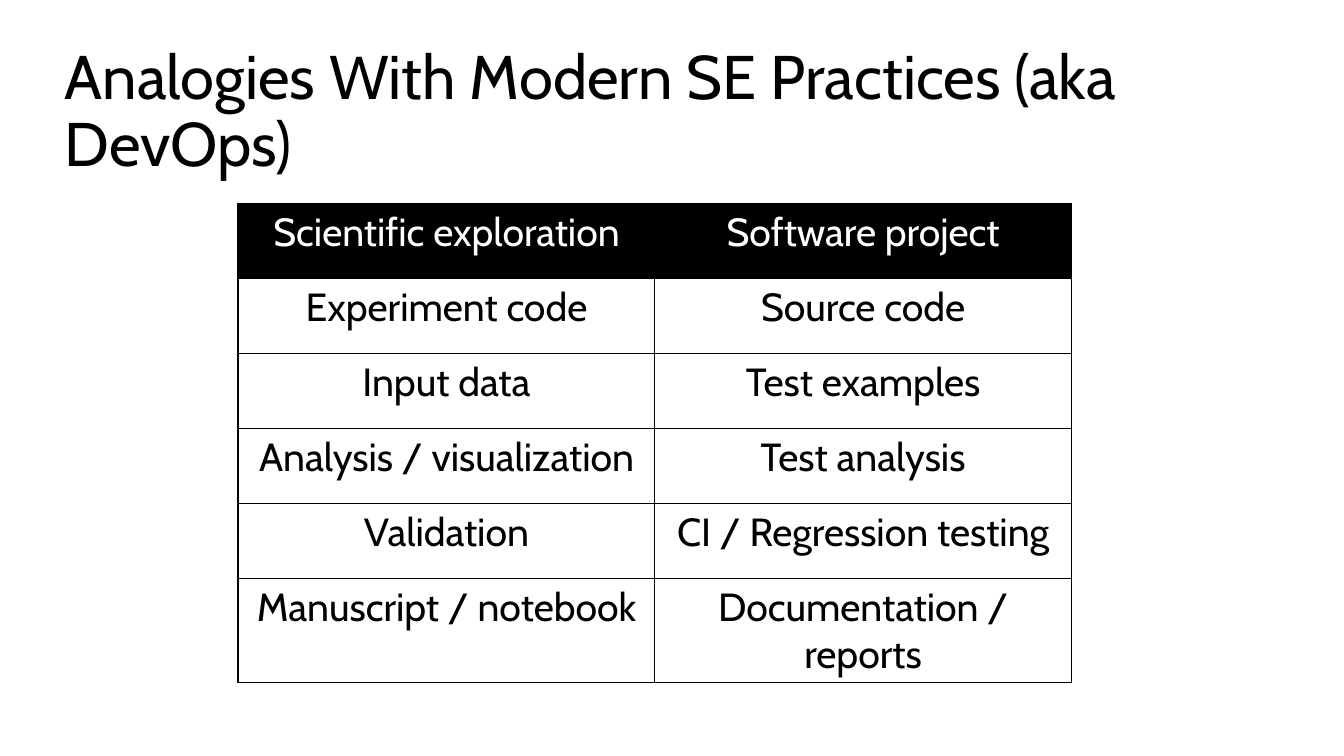
"""Build the slide comparing scientific exploration with a software project."""
from dataclasses import dataclass

from lxml import etree
from pptx import Presentation
from pptx import util as u
from pptx.dml.color import RGBColor
from pptx.enum import text
from pptx.oxml import ns


@dataclass(frozen=True)
class Theme:
    """Colours, font and type sizes."""
    ink: str = "000000"
    paper: str = "FFFFFF"
    font: str = "Cabin"
    title: int = 44
    body: int = 28
    rule: float = 1


class Page:
    """Draw elements on one slide in one style."""

    def __init__(self, slide, theme):
        """Keep the slide and the theme."""
        self.slide = slide
        self.theme = theme

    def style(self, para, size, color):
        """Format every run of a paragraph."""
        for run in para.runs:
            font = run.font
            font.name = self.theme.font
            font.size = u.Pt(size)
            font.bold = False
            font.color.rgb = RGBColor.from_string(color)

    def title(self, words, left, top, width, height):
        """Add the slide title."""
        box = self.slide.shapes.add_textbox(
            u.Cm(left), u.Cm(top), u.Cm(width), u.Cm(height))
        frame = box.text_frame
        frame.word_wrap = True
        frame.vertical_anchor = text.MSO_ANCHOR.MIDDLE
        frame.text = words
        para = frame.paragraphs[0]
        para.line_spacing = 0.9
        self.style(para, self.theme.title, self.theme.ink)

    def border(self, cell):
        """Rule all four sides of a cell."""
        props = cell._tc.get_or_add_tcPr()
        for side in ("a:lnL", "a:lnR", "a:lnT", "a:lnB"):
            line = etree.SubElement(
                props, ns.qn(side), w=str(u.Pt(self.theme.rule)))
            fill = etree.SubElement(line, ns.qn("a:solidFill"))
            etree.SubElement(fill, ns.qn("a:srgbClr"), val=self.theme.ink)

    def cell(self, cell, words, head):
        """Fill one table cell, inverted when it is a heading."""
        ink, paper = self.theme.ink, self.theme.paper
        if head:
            ink, paper = paper, ink
        self.border(cell)
        cell.fill.solid()
        cell.fill.fore_color.rgb = RGBColor.from_string(paper)
        cell.text_frame.text = words
        para = cell.text_frame.paragraphs[0]
        para.alignment = text.PP_ALIGN.CENTER
        self.style(para, self.theme.body, ink)

    def table(self, rows, left, top, width, step):
        """Add a ruled table with a heading row."""
        table = self.slide.shapes.add_table(
            len(rows), len(rows[0]), u.Cm(left), u.Cm(top),
            u.Cm(width), u.Cm(step * len(rows))).table
        table.horz_banding = False
        for i, row in enumerate(rows):
            for j, words in enumerate(row):
                self.cell(table.cell(i, j), words, i == 0)


PAIRS = [
    ("Scientific exploration", "Software project"),
    ("Experiment code", "Source code"),
    ("Input data", "Test examples"),
    ("Analysis / visualization", "Test analysis"),
    ("Validation", "CI / Regression testing"),
    ("Manuscript / notebook", "Documentation / reports"),
]


def main():
    """Build and save the deck."""
    deck = Presentation()
    deck.slide_width = u.Cm(33.87)
    deck.slide_height = u.Cm(19.05)
    page = Page(deck.slides.add_slide(deck.slide_layouts[6]), Theme())
    page.title("Analogies With Modern SE Practices (aka DevOps)",
               1.38, 1.01, 32.03, 3.68)
    page.table(PAIRS, 6, 5.12, 21, 1.89)
    deck.save("out.pptx")


if __name__ == "__main__":
    main()
